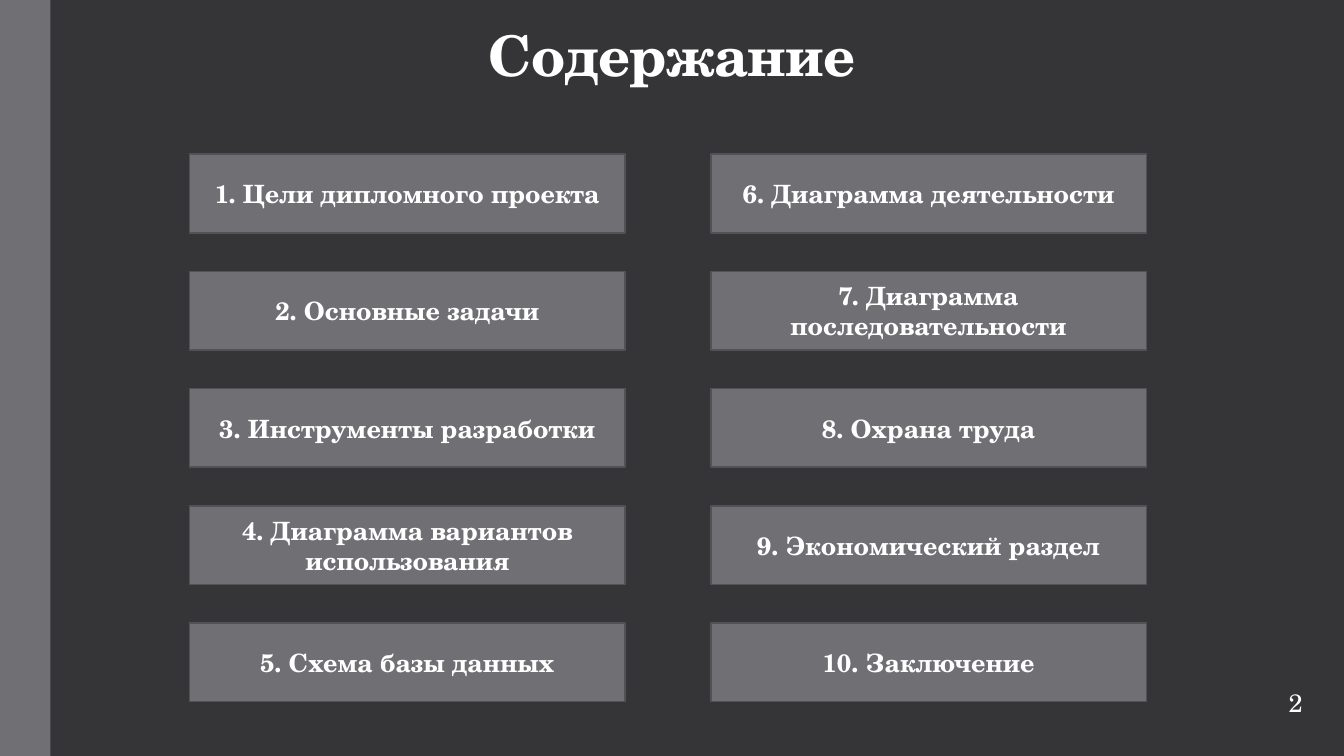
import dataclasses

import pptx
import pptx.dml.color
import pptx.enum.shapes
import pptx.enum.text
import pptx.util

Color = pptx.dml.color.RGBColor
Shapes = pptx.enum.shapes.MSO_SHAPE
Align = pptx.enum.text.PP_ALIGN
Anchor = pptx.enum.text.MSO_ANCHOR
Inches = pptx.util.Inches
Pt = pptx.util.Pt


@dataclasses.dataclass(frozen=True)
class Theme:
    back: str = "353537"
    panel: str = "6F6F74"
    edge: str = "525256"
    ink: str = "FFFFFF"
    face: str = "TeX Gyre Schola"
    head: int = 40
    body: int = 18
    line: float = 1.1


@dataclasses.dataclass(frozen=True)
class Grid:
    left: float = 1.88
    top: float = 1.53
    right: float = 7.05
    bottom: float = 6.18
    width: float = 4.32
    height: float = 0.78
    rows: int = 5

    def box(self, col: int, row: int) -> tuple[float, float, float, float]:
        x = self.left + col * (self.right - self.left)
        y = self.top + row * (self.bottom - self.top) / (self.rows - 1)
        return x, y, self.width, self.height


@dataclasses.dataclass(frozen=True)
class Topic:
    text: str
    col: int
    row: int


THEME = Theme()
GRID = Grid()
WIDTH, HEIGHT = 13.33, 7.5
NAMES = [
    "Цели дипломного проекта",
    "Основные задачи",
    "Инструменты разработки",
    "Диаграмма вариантов использования",
    "Схема базы данных",
    "Диаграмма деятельности",
    "Диаграмма последовательности",
    "Охрана труда",
    "Экономический раздел",
    "Заключение",
]
TOPICS = [Topic(f"{i + 1}. {name}", *divmod(i, GRID.rows)) for i, name in enumerate(NAMES)]


def paint(fill, color: str) -> None:
    fill.solid()
    fill.fore_color.rgb = Color.from_string(color)


def write(shape, text: str, size: int, bold: bool, anchor=Anchor.MIDDLE):
    frame = shape.text_frame
    frame.word_wrap = True
    frame.vertical_anchor = anchor
    par = frame.paragraphs[0]
    par.alignment = Align.CENTER
    run = par.add_run()
    run.text = text
    font = run.font
    font.name = THEME.face
    font.size = Pt(size)
    font.bold = bold
    font.color.rgb = Color.from_string(THEME.ink)
    return par


def panel(slide, kind, box: tuple[float, float, float, float]):
    shape = slide.shapes.add_shape(kind, *map(Inches, box))
    shape.shadow.inherit = False
    paint(shape.fill, THEME.panel)
    shape.line.fill.background()
    return shape


def title(slide, text: str) -> None:
    shape = slide.shapes.title
    shape.left, shape.top = Inches(0), Inches(0.14)
    shape.width, shape.height = Inches(WIDTH), Inches(0.78)
    par = write(shape, text, THEME.head, True, Anchor.BOTTOM)
    shape.text_frame.auto_size = pptx.enum.text.MSO_AUTO_SIZE.NONE
    par.line_spacing = 0.85
    par.runs[0].font._element.set("spc", "-50")


def button(slide, topic: Topic) -> None:
    shape = panel(slide, Shapes.ACTION_BUTTON_CUSTOM, GRID.box(topic.col, topic.row))
    shape.line.color.rgb = Color.from_string(THEME.edge)
    shape.line.width = Pt(THEME.line)
    write(shape, topic.text, THEME.body, True)


def main() -> None:
    deck = pptx.Presentation()
    deck.slide_width, deck.slide_height = Inches(WIDTH), Inches(HEIGHT)
    slide = deck.slides.add_slide(deck.slide_layouts.get_by_name("Title Only"))
    paint(slide.background.fill, THEME.back)
    panel(slide, Shapes.RECTANGLE, (0, 0, 0.5, HEIGHT))
    title(slide, "Содержание")
    for topic in TOPICS:
        button(slide, topic)
    page = slide.shapes.add_textbox(*map(Inches, (12.37, 6.46, 0.96, 1.01)))
    write(page, "2", THEME.body, False)
    deck.save("out.pptx")


if __name__ == "__main__":
    main()
